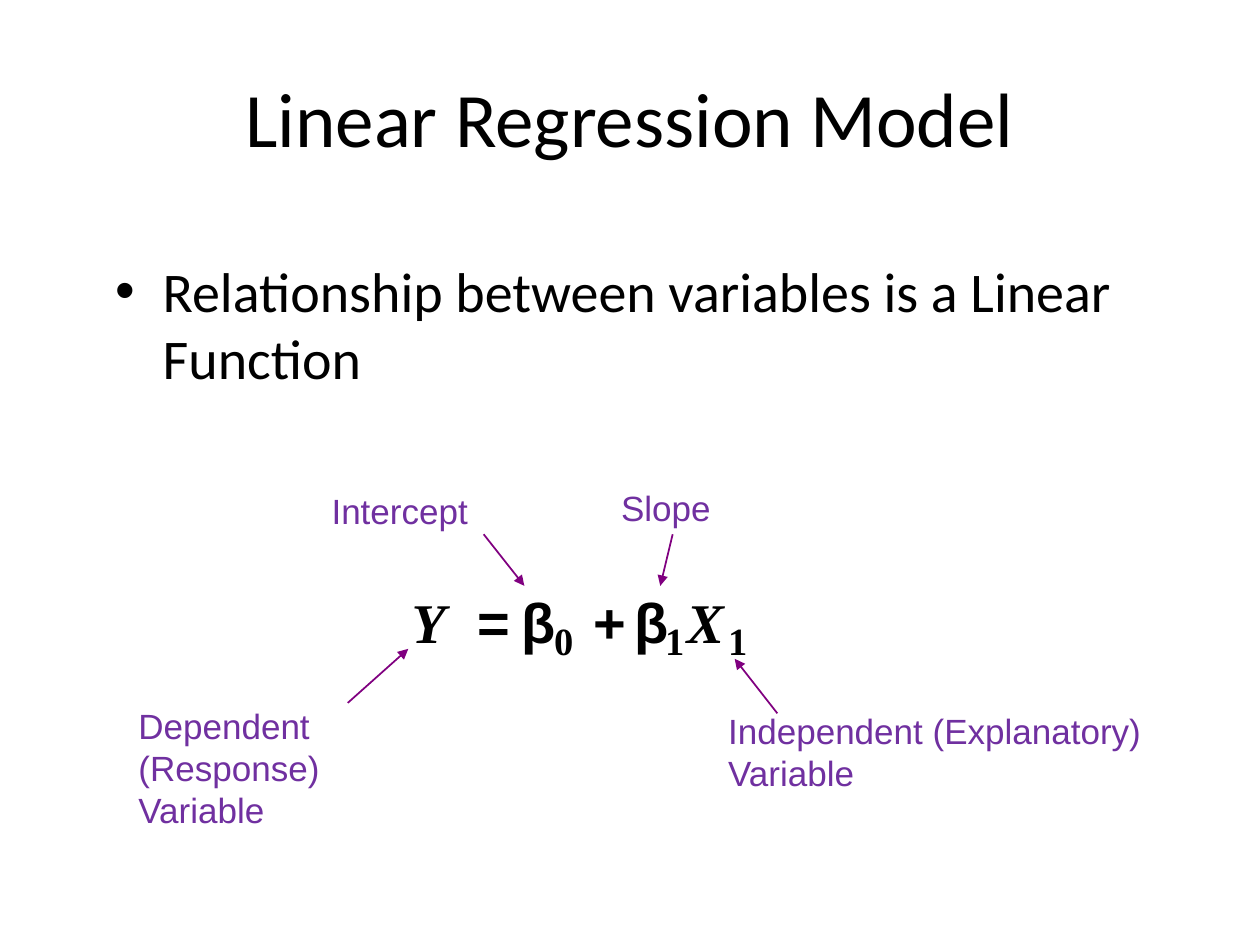
"""Build a slide that labels the parts of the linear regression equation."""
from lxml import etree
from pptx import Presentation
from pptx import util as u
from pptx.dml.color import RGBColor
from pptx.enum import shapes, text
from pptx.oxml.ns import qn

COLOURS = {"black": "000000", "label": "7030A0", "arrow": "800080"}


def add_text(slide, wording, box, size, font, colour="black", wrap=True):
    shape = slide.shapes.add_textbox(*[u.Cm(length) for length in box])
    shape.text_frame.word_wrap = wrap
    paragraph = shape.text_frame.paragraphs[0]
    paragraph.text = wording
    paragraph.font.size = u.Pt(size)
    paragraph.font.name = font
    paragraph.font.color.rgb = RGBColor.from_string(COLOURS[colour])
    return shape.text_frame, paragraph


presentation = Presentation()
presentation.slide_width = u.Cm(25.4)
presentation.slide_height = u.Cm(19.05)
slide = presentation.slides.add_slide(presentation.slide_layouts[6])

frame, paragraph = add_text(
    slide, "Linear Regression Model", (1.27, 0.76, 22.86, 3.18), 44, "Calibri")
frame.vertical_anchor = text.MSO_ANCHOR.MIDDLE
paragraph.alignment = text.PP_ALIGN.CENTER

frame, paragraph = add_text(
    slide, "Relationship between variables is a Linear Function",
    (2.08, 5.05, 21.82, 11.71), 32, "Calibri")
properties = paragraph._p.get_or_add_pPr()
indent = u.Cm(0.95)
properties.set("marL", str(indent))
properties.set("indent", str(-indent))
bullet_font = etree.Element(qn("a:buFont"), typeface="Arial")
bullet = etree.Element(qn("a:buChar"), char="•")
properties.insert(0, bullet_font)
properties.insert(1, bullet)

symbols = [
    ("Y", 8.05, 1.19, "Times New Roman", True),
    ("=", 9.37, 1.14, "Arial", False),
    ("β", 10.26, 1.14, "Arial", False),
    ("+", 11.71, 1.14, "Arial", False),
    ("β", 12.55, 1.14, "Arial", False),
    ("X", 13.59, 1.27, "Times New Roman", True),
]
for symbol, left, width, font, italic in symbols:
    frame, paragraph = add_text(
        slide, symbol, (left, 11.71, width, 1.63), 32, font, wrap=False)
    paragraph.font.bold = True
    paragraph.font.italic = italic

for subscript, left in [("0", 10.92), ("1", 13.16), ("1", 14.43)]:
    frame, paragraph = add_text(
        slide, subscript, (left, 12.32, 0.89, 1.19), 22, "Times New Roman", wrap=False)
    paragraph.font.bold = True

labels = [
    ("Dependent (Response) Variable", (2.54, 14.07, 5.69, 2.82), text.PP_ALIGN.LEFT),
    ("Independent (Explanatory) Variable", (14.43, 14.17, 10.36, 1.96), text.PP_ALIGN.LEFT),
    ("Slope", (12.27, 9.68, 5, 1.09), text.PP_ALIGN.LEFT),
    ("Intercept", (5, 9.75, 6.12, 1.09), text.PP_ALIGN.CENTER),
]
for wording, box, alignment in labels:
    frame, paragraph = add_text(slide, wording, box, 20, "Arial", "label")
    paragraph.alignment = alignment

arrows = [
    (7.01, 14.17, 8.23, 13.08),
    (15.67, 14.38, 14.81, 13.28),
    (9.75, 10.77, 10.57, 11.81),
    (13.56, 10.77, 13.31, 11.81),
]
for ends in arrows:
    arrow = slide.shapes.add_connector(
        shapes.MSO_CONNECTOR.STRAIGHT, *[u.Cm(length) for length in ends])
    arrow.line.color.rgb = RGBColor.from_string(COLOURS["arrow"])
    arrow.line.width = u.Pt(1)
    etree.SubElement(arrow.line._get_or_add_ln(), qn("a:tailEnd"), type="triangle")
    etree.SubElement(arrow._element.spPr, qn("a:effectLst"))

presentation.save("out.pptx")
